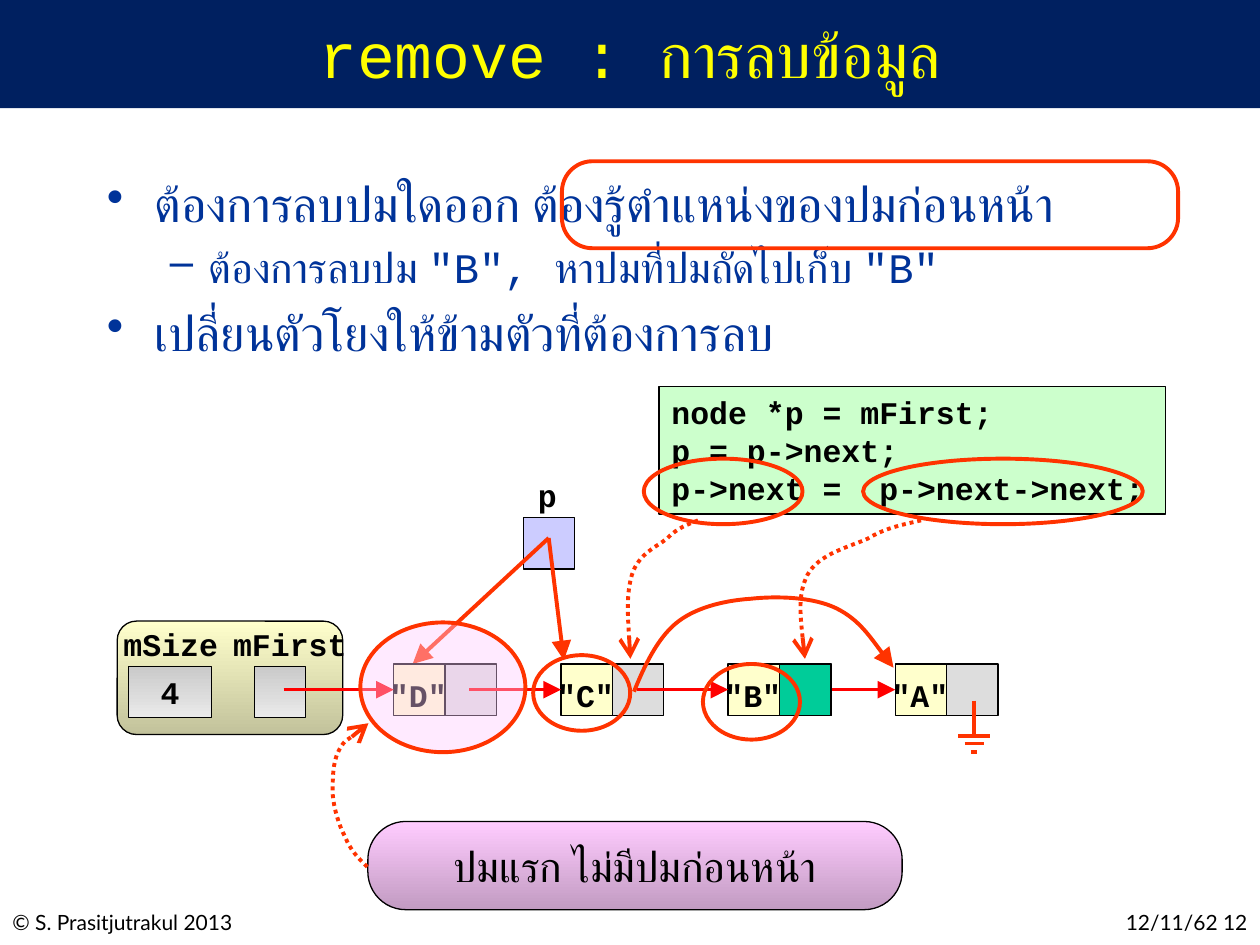
from collections import namedtuple

from pptx import Presentation
from pptx.dml.color import RGBColor
from pptx.enum.dml import MSO_LINE
from pptx.enum.shapes import MSO_CONNECTOR, MSO_SHAPE
from pptx.enum.text import MSO_ANCHOR, PP_ALIGN
from pptx.oxml.ns import qn
from pptx.util import Inches, Pt
from lxml.etree import SubElement

# Grid of 100 columns by 75 rows; every length below counts its cells
Box = namedtuple("Box", "left top width height")
COLUMNS, ROWS = 100, 75
CELL = Inches(10) // COLUMNS
NODE = 4.08  # side of one list cell
ORANGE, RED, BLACK = "FF3300", "FF0000", "000000"
MONO, SANS = "Courier New", "Lato"
SILVER = ("CACACA", "EAEAEA")
LEFT = 1  # connection site


def grid(*lengths):
    return [round(length * CELL) for length in lengths]


def color(code):
    return RGBColor.from_string(code)


def paint(shape, fill=None, line=None, weight=0.75, alpha=None):
    """Fill with a colour, a (top, bottom) gradient or nothing, then outline."""
    shape.shadow.inherit = False
    if isinstance(fill, tuple):
        shape.fill.gradient()
        shape.fill.gradient_angle = 270
        for stop, code in zip(shape.fill.gradient_stops, fill):
            stop.color.rgb = color(code)
    elif fill:
        shape.fill.solid()
        shape.fill.fore_color.rgb = color(fill)
    else:
        shape.fill.background()
    if alpha:
        tint = shape.fill._xPr.find(qn("a:solidFill"))[0]
        SubElement(tint, qn("a:alpha"), val=str(alpha * 1000))
    if line:
        shape.line.color.rgb = color(line)
        shape.line.width = Pt(weight)
    else:
        shape.line.fill.background()
    return shape


def block(slide, box, kind=MSO_SHAPE.RECTANGLE, corner=None, **look):
    shape = slide.shapes.add_shape(kind, *grid(*box))
    if corner:
        shape.adjustments[0] = corner
    return paint(shape, **look)


def ring(slide, box, **look):
    return block(slide, box, MSO_SHAPE.OVAL, line=ORANGE, weight=2.25, **look)


def write(holder, text, size=18, font=MONO, ink=BLACK, bold=False, wrap=True,
          align=PP_ALIGN.CENTER, anchor=MSO_ANCHOR.TOP, bullets=(), sizes=()):
    """Write one paragraph per line; bullets holds (mark, margin, hanging)."""
    frame = holder.text_frame
    frame.word_wrap = wrap
    frame.vertical_anchor = anchor
    for index, words in enumerate(text.split("\n")):
        paragraph = frame.paragraphs[0] if index == 0 else frame.add_paragraph()
        paragraph.alignment = align
        points = sizes[index] if sizes else size
        if bullets:
            mark, margin, hanging = bullets[index]
            properties = paragraph._p.get_or_add_pPr()
            properties.set("marL", str(grid(margin)[0]))
            properties.set("indent", str(-grid(hanging)[0]))
            SubElement(properties, qn("a:buChar"), char=mark)
            if index:
                paragraph.space_before = Pt(round(points * 0.2))
            paragraph.font.size, paragraph.font.name = Pt(points), font
        run = paragraph.add_run()
        run.text = words
        run.font.size, run.font.name, run.font.bold = Pt(points), font, bold
        run.font.color.rgb = color(ink)


def label(slide, box, text, **form):
    write(slide.shapes.add_textbox(*grid(*box)), text, **form)


def arrowhead(item, kind):
    SubElement(item.line._get_or_add_ln(), qn("a:tailEnd"), type=kind, w="lg", len="lg")


def link(slide, start, end, ink=RED, weight=2, head="triangle", target=None):
    """Straight line; a target cell is joined at the middle of its left side."""
    line = slide.shapes.add_connector(MSO_CONNECTOR.STRAIGHT, *grid(*start, *end))
    line.line.color.rgb = color(ink)
    line.line.width = Pt(weight)
    if head:
        arrowhead(line, head)
    SubElement(line._element.spPr, qn("a:effectLst"))
    if target:
        line.end_connect(target, LEFT)


def curve(slide, box, points, head="arrow", dash=MSO_LINE.ROUND_DOT):
    """Cubic curves whose points are given as shares of the box."""
    spots = [grid(box.left + x * box.width, box.top + y * box.height) for x, y in points]
    builder = slide.shapes.build_freeform(*spots[0], scale=1.0)
    builder.add_line_segments(spots[1:], close=False)
    bend = paint(builder.convert_to_shape(), line=ORANGE, weight=2.25)
    # Every three straight segments become one cubic segment
    segments = list(bend._element.iter(qn("a:lnTo")))
    outline = segments[0].getparent()
    for first in range(0, len(segments), 3):
        cubic = SubElement(outline, qn("a:cubicBezTo"))
        for segment in segments[first:first + 3]:
            cubic.append(segment[0])
            outline.remove(segment)
    if dash:
        bend.line.dash_style = dash
    arrowhead(bend, head)


def title_band(slide, box):
    block(slide, box, fill="002060")
    label(slide, Box(box.left + 7.5, box.top + 0.1, box.width - 15, 8.3),
          "remove : การลบข้อมูล", size=36, ink="FFFF00", anchor=MSO_ANCHOR.MIDDLE)


def footer(slide, box):
    label(slide, Box(box.left, box.top, 32.5, box.height),
          "© S. Prasitjutrakul 2013", size=12, font=SANS, align=PP_ALIGN.LEFT)
    label(slide, Box(box.left + box.width - 21.7, box.top, 21.7, box.height),
          "12/11/62 12", size=12, font=SANS, align=PP_ALIGN.RIGHT)


def main_points(slide, box):
    label(slide, box, 'ต้องการลบปมใดออก ต้องรู้ตำแหน่งของปมก่อนหน้า\n'
          'ต้องการลบปม "B", หาปมที่ปมถัดไปเก็บ "B"\n'
          'เปลี่ยนตัวโยงให้ข้ามตัวที่ต้องการลบ',
          sizes=(28, 24, 28), ink="003399", align=PP_ALIGN.LEFT,
          bullets=(("•", 3.8, 3.8), ("–", 8.1, 3.1), ("•", 3.8, 3.8)))
    # Frame around the key condition
    block(slide, Box(box.left + 37.1, box.top - 0.5, 48.9, 6.9),
          MSO_SHAPE.ROUNDED_RECTANGLE, 0.35, line=ORANGE, weight=2.25)


def list_header(slide, box):
    block(slide, box, MSO_SHAPE.ROUNDED_RECTANGLE, 0.17,
          fill=("FFFFCC", "C2C29B"), line=BLACK)
    for offset, width, name, center, value in (
            (0.9, 6.6, "mSize", 4.25, "4"), (10.9, NODE, "mFirst", 13.7, None)):
        field = block(slide, Box(box.left + offset, box.top + 3.6, width, NODE),
                      fill=SILVER, line=BLACK)
        if value:
            write(field, value, bold=True)
        label(slide, Box(box.left + center - 6, box.top - 0.2, 12, 4), name, bold=True)


def node(slide, box):
    data = block(slide, box, fill="FFFFCC", line=BLACK)
    block(slide, box._replace(left=box.left + NODE), fill="DDDDDD", line=BLACK)
    return data


def linked_list(slide, box):
    list_header(slide, Box(box.left, box.top, 17.9, 9))
    pitch, first, row = 13.27, box.left + 21.95, box.top + 3.4
    lefts = [first + pitch * index for index in range(4)]
    cells = [Box(left, row, NODE, NODE) for left in lefts]
    nodes = [node(slide, cell) for cell in cells]
    # Links run from each pointer field to the next node
    middle = row + NODE / 2
    starts = [box.left + 13.2] + [left + 6 for left in lefts[:3]]
    for start, left, target in zip(starts, lefts, nodes):
        link(slide, (start, middle), (left, middle), target=target)
    for left, value in zip(lefts, "DCBA"):
        label(slide, Box(left - 2.2, row + 0.5, 8.3, 4), f'"{value}"', bold=True)
    # Pointer field of B, the one that is read
    block(slide, cells[2]._replace(left=lefts[2] + NODE), fill="00CC99", line=BLACK)
    # Ground sign after the last node
    ground = lefts[3] + 6.25
    link(slide, (ground, row + 2.9), (ground, row + 5.7), ORANGE, head=None)
    for drop, half in ((5.7, 1.25), (6.3, 0.75), (7, 0.25)):
        link(slide, (ground - half, row + drop), (ground + half, row + drop),
             ORANGE, head=None)
    # New link that skips node B
    curve(slide, Box(lefts[1] + 5.8, box.top - 2, 20.6, 7.6),
          [(0, 1), (.04, .73), (.09, .45), (.16, .29), (.23, .13), (.34, .05),
           (.45, .03), (.55, 0), (.69, .01), (.78, .13), (.87, .25), (.97, .65),
           (1, .75)], "triangle", dash=None)
    # Rings around C and B
    for left, drop in ((lefts[1] - 2.2, 2.7), (lefts[2] - 2, 3.4)):
        ring(slide, Box(left, box.top + drop, 7.7, 6))


def pointer_p(slide, box):
    block(slide, box, fill="CCCCFF", line=BLACK)
    label(slide, Box(box.left - 2.1, box.top - 3.8, 8, 4), "p", bold=True)
    for across, down in ((-8.8, 11.6), (3.2, 11.3)):
        link(slide, (box.left + 2, box.top + 1.6),
             (box.left + across, box.top + down), ORANGE, 2.25)


def code_panel(slide, box):
    panel = block(slide, box, fill="CCFFCC", line=BLACK)
    write(panel, "node *p = mFirst;\np = p->next;\np->next =  p->next->next;",
          bold=True, align=PP_ALIGN.LEFT)
    # Each ringed expression points to its field in the list
    bend = [(1, 0), (.86, .03), (.72, .05), (.57, .13), (.42, .19), (.17, .24),
            (.08, .39), (0, .53), (.03, .77), (.06, .99)]
    for offset, width, tip, reach in ((16.2, 22.2, 11, 9.8), (-1.2, 12.6, -2.6, 5.7)):
        ring(slide, Box(box.left + offset, box.top + 5.7, width, 5.2))
        curve(slide, Box(box.left + tip, box.top + 10.6, reach, 11.1), bend)


def first_node_note(slide, box):
    note = block(slide, box, MSO_SHAPE.ROUNDED_RECTANGLE, 0.43,
                 fill=("FFCCFF", "C29BC2"), line=BLACK)
    write(note, "ปมแรก ไม่มีปมก่อนหน้า", size=24, wrap=False, anchor=MSO_ANCHOR.MIDDLE)
    ring(slide, Box(box.left - 0.6, box.top - 15.8, 13.1, 10.3), fill="FFCCFF", alpha=40)
    curve(slide, Box(box.left - 2.8, box.top - 7.8, 2.9, 11.4),
          [(.95, 1), (.7, .94), (.48, .88), (.34, .79), (.17, .71), (.03, .59),
           (0, .49), (0, .39), (0, .27), (.17, .19), (.34, .11), (.88, .04), (.98, 0)])


def main():
    deck = Presentation()
    deck.slide_width, deck.slide_height = grid(COLUMNS, ROWS)
    slide = deck.slides.add_slide(deck.slide_layouts[6])
    title_band(slide, Box(0, 0, COLUMNS, 8.6))
    footer(slide, Box(0, 71.7, COLUMNS, 3))
    main_points(slide, Box(7.5, 13.3, 88.8, 17.7))
    pointer_p(slide, Box(41.55, 41.1, NODE, NODE))
    linked_list(slide, Box(9.3, 49.3, 71, 9))
    code_panel(slide, Box(52.3, 30.7, 40.2, 10.1))
    first_node_note(slide, Box(29.2, 65.2, 42.4, 7))
    deck.save("out.pptx")


if __name__ == "__main__":
    main()
